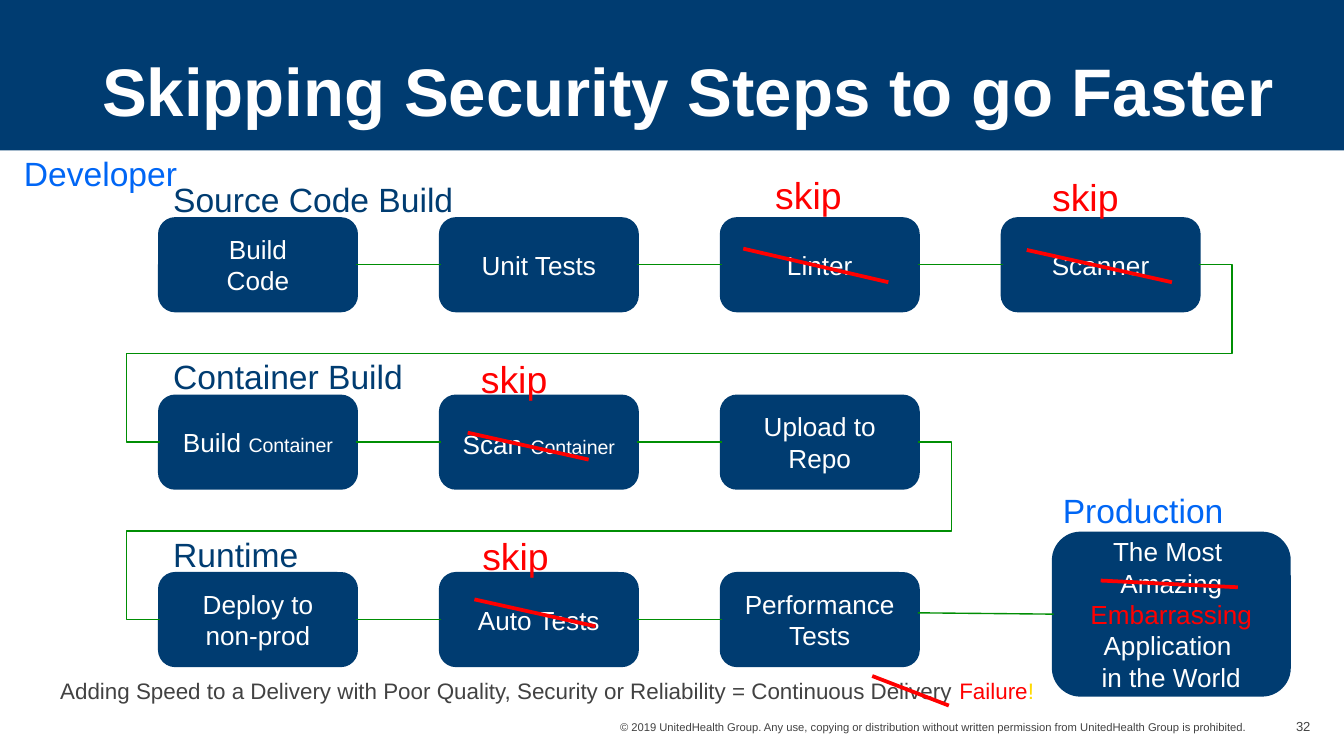
from dataclasses import dataclass

from lxml import etree
from pptx import Presentation
from pptx import util as u
from pptx.dml.color import RGBColor
from pptx.enum import shapes, text
from pptx.oxml.ns import qn

PX = u.Inches(1) // 100
LEFT, RIGHT = 1, 3  # connection sites of a rounded rectangle


@dataclass(frozen=True)
class Theme:
    font: str = "Arial"
    navy: str = "003C71"
    blue: str = "0066F5"
    green: str = "008E04"
    red: str = "FF0000"
    yellow: str = "FFDA03"
    grey: str = "424242"
    white: str = "FFFFFF"
    title: float = 36
    skip: float = 20
    heading: float = 18
    step: float = 14
    space: float = 16
    small: float = 10.5
    caption: float = 12
    number: float = 7
    legal: float = 6


T = Theme()

# Each step is a list of paragraphs; a paragraph is a string or a list of
# (text, run format) pairs.
STAGES = [
    ("Source Code Build", [["Build", "Code"], ["Unit Tests"], ["Linter"], ["Scanner"]]),
    ("Container Build", [
        [[("Build ", {}), ("Container", {"size": T.small})]],
        [[("Scan", {}), (" ", {"size": T.space}), ("Container", {"size": T.small})]],
        ["Upload to Repo"],
    ]),
    ("Runtime", [["Deploy to non-prod"], ["Auto Tests"], ["Performance Tests"]]),
]
GOAL = ["The Most ", "Amazing",
        [("Embarrassing", {"color": T.red, "outline": T.white}), (" Application ", {})],
        "in the World"]
CAPTION = [[("Adding Speed to a Delivery with Poor Quality, Security or Reliability"
             " = Continuous Delivery ", {}),
            ("Failure", {"color": T.red}), ("!", {"color": T.yellow})]]
LEGAL = ("© 2019 UnitedHealth Group. Any use, copying or distribution without written "
         "permission from UnitedHealth Group is prohibited.")
SKIPS = [(567, 123), (773, 125), (348, 260), (349, 392)]
STRIKES = [(661, 210, 553, 185), (872, 210, 764, 186), (438, 342, 348, 322),
           (443, 466, 353, 446), (921, 437, 819, 432), (706, 525, 649, 503)]

STEP_X, STEP_Y, STEP_W, STEP_H = 119, 163, 146, 68
STEP_DX, STAGE_DY = 209, 132
HEADING_RISE = 35
DETOUR = 25


def px(*lengths):
    return [n * PX for n in lengths]


def rgb(color):
    return RGBColor.from_string(color)


def set_attrs(obj, values):
    for name, value in values.items():
        setattr(obj, name, value)


def outline_run(r, color):
    """Draw a thin contour round the letters of a run."""
    ln = etree.Element(qn("a:ln"), w=str(u.Pt(0.75)))
    fill = etree.SubElement(ln, qn("a:solidFill"))
    etree.SubElement(fill, qn("a:srgbClr"), val=color)
    r.font._element.insert(0, ln)


def write(tf, paragraphs, size, color, align=text.PP_ALIGN.LEFT, bold=False):
    for i, runs in enumerate(paragraphs):
        p = tf.paragraphs[0] if i == 0 else tf.add_paragraph()
        p.alignment = align
        for words, fmt in [(runs, {})] if isinstance(runs, str) else runs:
            r = p.add_run()
            r.text = words
            set_attrs(r.font, {"name": T.font, "bold": bold,
                               "size": u.Pt(fmt.get("size", size))})
            r.font.color.rgb = rgb(fmt.get("color", color))
            if "outline" in fmt:
                outline_run(r, fmt["outline"])


def add_label(s, box, paragraphs, size, color):
    """Add a one-line text that does not wrap."""
    tf = s.shapes.add_textbox(*px(*box)).text_frame
    set_attrs(tf, {"word_wrap": False, "auto_size": text.MSO_AUTO_SIZE.SHAPE_TO_FIT_TEXT})
    write(tf, paragraphs, size, color)


def add_footer(s, box, words, size):
    tf = s.shapes.add_textbox(*px(*box)).text_frame
    set_attrs(tf, {"word_wrap": True, "vertical_anchor": text.MSO_ANCHOR.BOTTOM,
                   "margin_left": 0, "margin_right": 0, "margin_top": 0, "margin_bottom": 0})
    write(tf, [words], size, T.grey, text.PP_ALIGN.RIGHT)


def add_block(s, kind, box):
    sp = s.shapes.add_shape(kind, *px(*box))
    sp.shadow.inherit = False
    sp.fill.solid()
    sp.fill.fore_color.rgb = rgb(T.navy)
    return sp


def add_step(s, box, paragraphs):
    sp = add_block(s, shapes.MSO_SHAPE.ROUNDED_RECTANGLE, box)
    sp.line.color.rgb = rgb(T.navy)
    sp.line.width = u.Pt(2)
    set_attrs(sp.text_frame, {"word_wrap": True, "vertical_anchor": text.MSO_ANCHOR.MIDDLE})
    write(sp.text_frame, paragraphs, T.step, T.white, text.PP_ALIGN.CENTER)
    return sp


def add_line(s, ends, color, width, kind=shapes.MSO_CONNECTOR.STRAIGHT):
    line = s.shapes.add_connector(kind, *px(*ends))
    line.line.color.rgb = rgb(color)
    line.line.width = u.Pt(width)
    etree.SubElement(line._element.spPr, qn("a:effectLst"))
    return line


def link(s, start, end, kind=shapes.MSO_CONNECTOR.STRAIGHT):
    line = add_line(s, (0, 0, 0, 0), T.green, 0.75, kind)
    line.begin_connect(start, RIGHT)
    line.end_connect(end, LEFT)
    return line


def link_stages(s, start, end):
    """Lead from the last step of a stage round to the first of the next."""
    line = link(s, start, end, shapes.MSO_CONNECTOR.ELBOW)
    geom = line._element.spPr.find(qn("a:prstGeom"))
    geom.set("prst", "bentConnector5")
    adjustments = geom.find(qn("a:avLst"))
    if adjustments is None:
        adjustments = etree.SubElement(geom, qn("a:avLst"))
    detour = round(DETOUR * PX / line.width * 100000)
    for i, value in enumerate((-detour, 50000, 100000 + detour), 1):
        etree.SubElement(adjustments, qn("a:gd"), name=f"adj{i}", fmla=f"val {value}")


def add_header(s):
    band = add_block(s, shapes.MSO_SHAPE.RECTANGLE, (0, 0, 1000, 112))
    band.line.fill.background()
    s.shapes._spTree.insert(2, band._element)
    title = s.shapes.title
    set_attrs(title, dict(zip(("left", "top", "width", "height"), px(76, 41, 874, 52))))
    set_attrs(title.text_frame, {
        "margin_left": 0, "margin_right": 0, "word_wrap": True,
        "auto_size": text.MSO_AUTO_SIZE.NONE, "vertical_anchor": text.MSO_ANCHOR.MIDDLE})
    write(title.text_frame, ["Skipping Security Steps to go Faster"], T.title, T.white, bold=True)


def add_pipeline(s):
    last = None
    for row, (heading, steps) in enumerate(STAGES):
        y = STEP_Y + row * STAGE_DY
        boxes = [add_step(s, (STEP_X + col * STEP_DX, y, STEP_W, STEP_H), step)
                 for col, step in enumerate(steps)]
        for start, end in zip(boxes, boxes[1:]):
            link(s, start, end)
        if last is not None:
            link_stages(s, last, boxes[0])
        last = boxes[-1]
        add_label(s, (STEP_X, y - HEADING_RISE, 231, 40), [heading], T.heading, T.navy)


def main():
    prs = Presentation()
    prs.slide_width = 1000 * PX
    prs.slide_height = prs.slide_width * 9 // 16
    s = prs.slides.add_slide(prs.slide_layouts[5])
    add_header(s)
    add_pipeline(s)
    add_step(s, (784, 397, 175, 120), GOAL)
    add_line(s, (683, 456, 784, 457), T.green, 0.75)
    add_label(s, (8, 109, 135, 40), ["Developer"], T.heading, T.blue)
    add_label(s, (781, 360, 141, 40), ["Production"], T.heading, T.blue)
    for x, y in SKIPS:
        add_label(s, (x, y, 70, 44), ["skip"], T.skip, T.red)
    add_label(s, (35, 499, 750, 30), CAPTION, T.caption, T.grey)
    for ends in STRIKES:
        add_line(s, ends, T.red, 2)
    add_footer(s, (361, 536, 566, 10), LEGAL, T.legal)
    add_footer(s, (947, 535, 28, 11), "32", T.number)
    prs.save("out.pptx")


if __name__ == "__main__":
    main()
